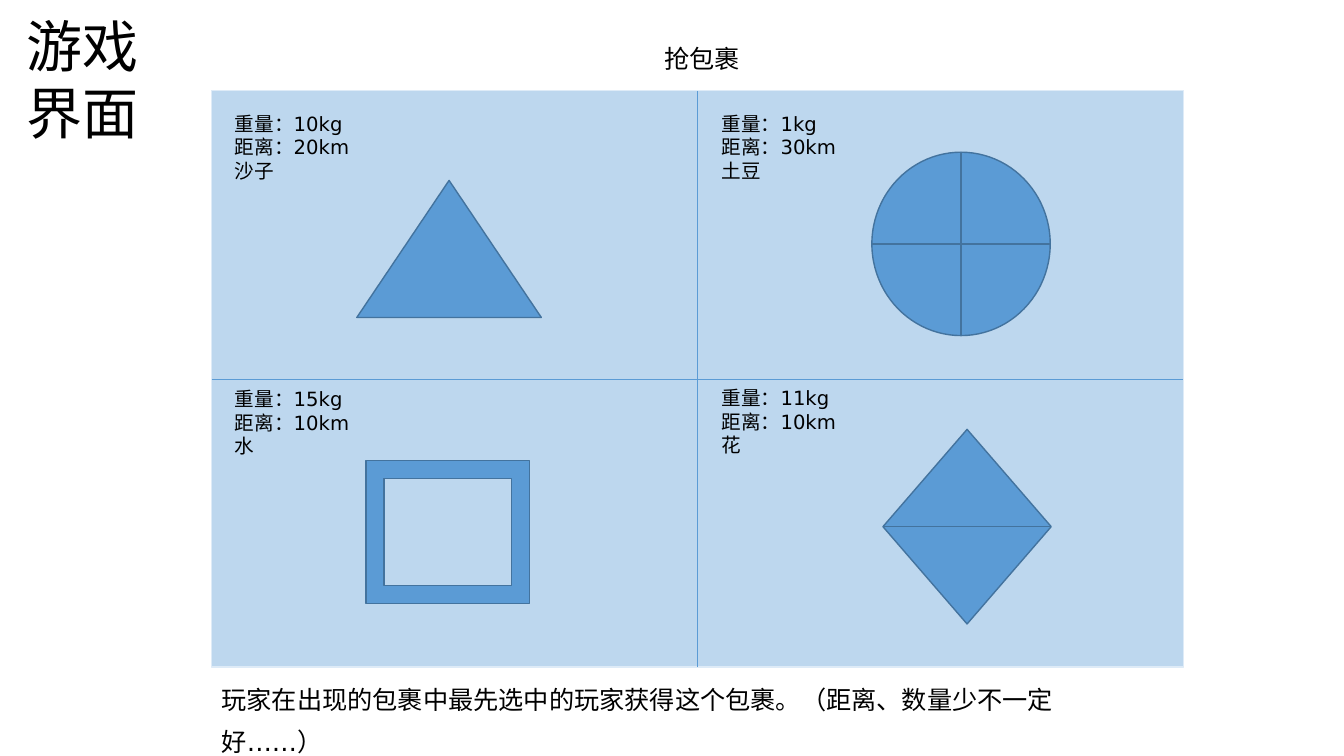
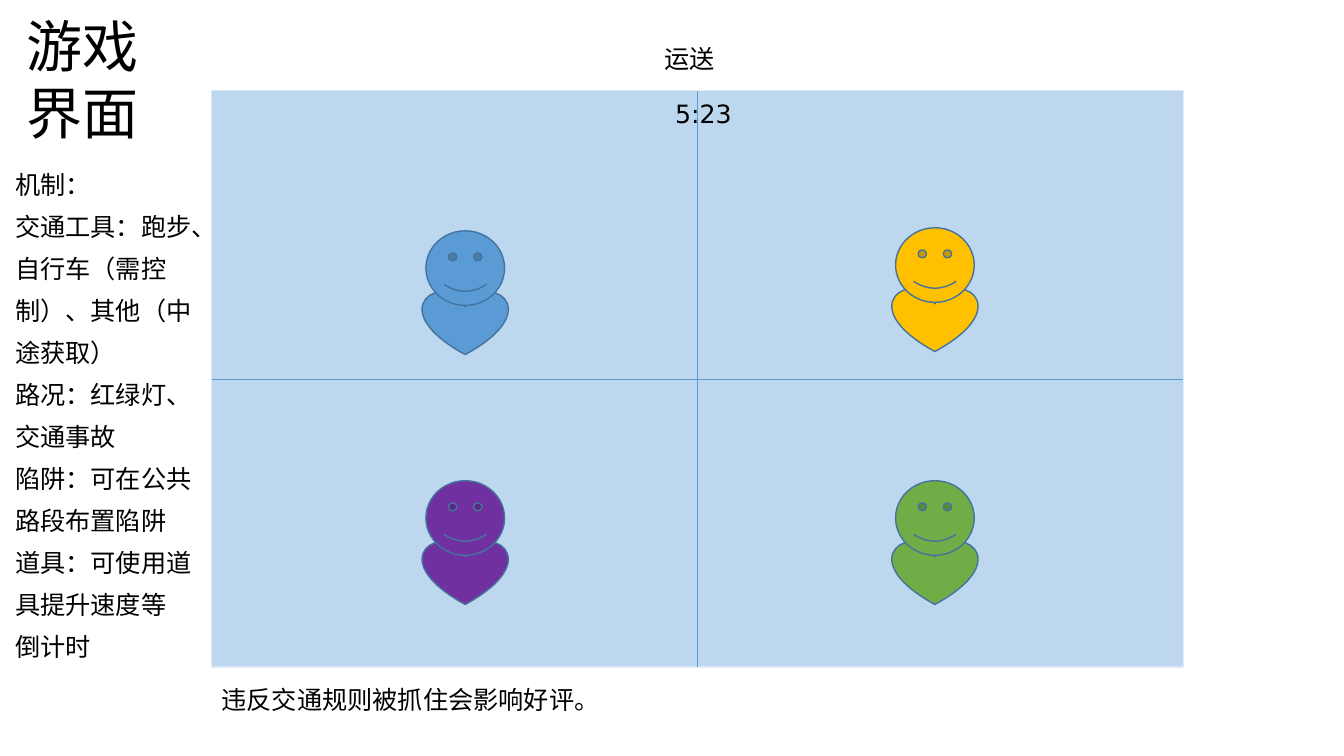
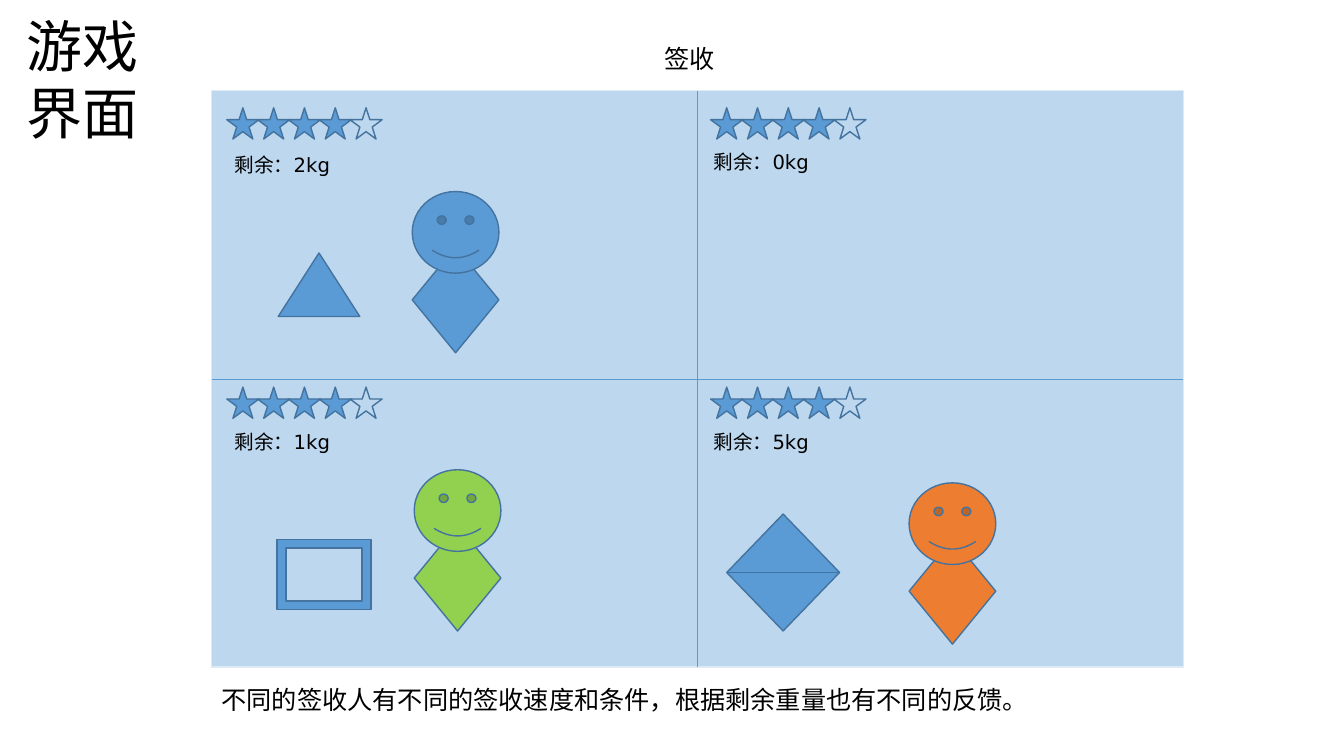
from lxml.etree import SubElement
from pptx import Presentation
from pptx.dml.color import RGBColor
from pptx.enum.shapes import MSO_CONNECTOR, MSO_SHAPE as Preset
from pptx.enum.text import MSO_ANCHOR, MSO_AUTO_SIZE, PP_ALIGN
from pptx.oxml.ns import qn
from pptx.util import Pt

COLORS = {
    "black": "000000", "board": "BDD7EE", "board_edge": "DEEBF7",
    "blue": "5B9BD5", "outline": "43739E", "purple": "7030A0",
    "green": "70AD47", "gold": "FFC000", "lime": "92D050", "orange": "ED7D31",
}
TITLE_ONLY, TITLE_AND_LIST = 5, 1
BODY_FONT, TITLE_FONT = "DejaVu Sans", "Noto Sans CJK JP"
BOARD = (151.2, 64.8, 694.1, 411.8)
LABEL_X = 160.6
STAR_COUNT, STAR_PITCH = 5, 22


def color(name):
    return RGBColor.from_string(COLORS[name])


class GameDeck:
    """Holds the shared style and the slide being built."""

    def __init__(self):
        self.deck = Presentation()
        self.deck.slide_width, self.deck.slide_height = Pt(960), Pt(540)
        self.page = None

    # Slide frame: title, heading, board and caption
    def start(self, heading, caption, layout=TITLE_ONLY):
        self.page = self.deck.slides.add_slide(self.deck.slide_layouts[layout])
        title = self.page.shapes.title
        self.place(title, 11.5, 4.3, 105.8, 104.4)
        self.set_text(title, "游戏界面", 40, font=TITLE_FONT)
        self.board()
        self.text(heading, 467.3, 18.7, 82.1, 34.6, 18, spacing=30)
        self.text(caption, 151.2, 476.6, 660.2, 34.6, 18, spacing=30)

    def board(self):
        panel = self.shape(Preset.RECTANGLE, *BOARD, fill="board", edge="board_edge")
        for first, last in ((2, 0), (1, 3)):
            line = self.page.shapes.add_connector(MSO_CONNECTOR.STRAIGHT, 0, 0, 0, 0)
            line.begin_connect(panel, first)
            line.end_connect(panel, last)
            line.line.color.rgb = color("blue")
            line.line.width = Pt(0.5)
            SubElement(line._element.spPr, qn("a:effectLst"))

    # Text
    def place(self, box, left, top, width, height):
        box.left, box.top, box.width, box.height = map(Pt, (left, top, width, height))

    def set_text(self, box, text, size, spacing=None, font=BODY_FONT):
        frame = box.text_frame
        frame.text = text
        frame.word_wrap = True
        frame.auto_size = MSO_AUTO_SIZE.SHAPE_TO_FIT_TEXT
        frame.vertical_anchor = MSO_ANCHOR.TOP
        for para in frame.paragraphs:
            para.alignment = PP_ALIGN.LEFT
            para.space_before = Pt(0)
            para.line_spacing = Pt(spacing) if spacing else 1.0
            for span in para.runs:
                span.font.size = Pt(size)
                span.font.color.rgb = color("black")
                span.font.name = font
                # East Asian text keeps the line height of the body font
                SubElement(span.font._element, qn("a:ea"), typeface=BODY_FONT)

    def text(self, text, left, top, width, height, size, spacing=None):
        box = self.page.shapes.add_textbox(*map(Pt, (left, top, width, height)))
        self.set_text(box, text, size, spacing)

    def plain_list(self, items, left, top, width, height):
        box = self.page.placeholders[1]
        self.place(box, left, top, width, height)
        self.set_text(box, "\n".join(items), 18, spacing=30)
        for para in box.text_frame.paragraphs:
            properties = para._p.get_or_add_pPr()
            properties.set("marL", "0")
            properties.set("indent", "0")
            SubElement(properties, qn("a:buNone"))

    # Shapes
    def shape(self, preset, left, top, width, height, fill="blue",
              edge="outline", group=None):
        shapes = (group or self.page).shapes
        shape = shapes.add_shape(preset, *map(Pt, (left, top, width, height)))
        shape.shadow.inherit = False
        if fill:
            shape.fill.solid()
            shape.fill.fore_color.rgb = color(fill)
        else:
            shape.fill.background()
        shape.line.color.rgb = color(edge)
        shape.line.width = Pt(1)
        return shape

    def person(self, left, top, fill, body, body_size, head_size, drop):
        """A smiling head centred over a body that starts drop below its top."""
        group = self.page.shapes.add_group_shape()
        inset = (body_size[0] - head_size[0]) / 2
        self.shape(body, left, top + drop, *body_size, fill=fill, group=group)
        self.shape(Preset.SMILEY_FACE, left + inset, top, *head_size,
                   fill=fill, group=group)

    def rating(self, left, top, score):
        group = self.page.shapes.add_group_shape()
        for index in range(STAR_COUNT):
            self.shape(Preset.STAR_5_POINT, left + index * STAR_PITCH, top, 23, 22.3,
                       fill="blue" if index < score else None, group=group)


def build_grab(game):
    game.start("抢包裹", "玩家在出现的包裹中最先选中的玩家获得这个包裹。（距离、数量少不一定好……）")
    parcels = (
        ("10kg", "20km", "沙子", LABEL_X, 76.3,
         Preset.ISOSCELES_TRIANGLE, (254.9, 128.9, 131.8, 97.9)),
        ("15kg", "10km", "水", LABEL_X, 272.9,
         Preset.FRAME, (261.4, 329, 116.6, 102.2)),
        ("1kg", "30km", "土豆", 508.3, 76.3,
         Preset.FLOWCHART_OR, (622.8, 108.7, 127.4, 131)),
        ("11kg", "10km", "花", 508.3, 272.2,
         Preset.FLOWCHART_SORT, (630.7, 306.7, 120.2, 139)),
    )
    for weight, distance, goods, left, top, preset, area in parcels:
        game.text(f"重量：{weight}\n距离：{distance}\n{goods}", left, top, 188.6, 58.3, 14)
        game.shape(preset, *area)


def build_delivery(game):
    game.start("运送", "违反交通规则被抓住会影响好评。", TITLE_AND_LIST)
    game.plain_list(
        ("机制：", "交通工具：跑步、自行车（需控制）、其他（中途获取）",
         "路况：红绿灯、交通事故", "陷阱：可在公共路段布置陷阱",
         "道具：可使用道具提升速度等", "倒计时"),
        3.6, 108.7, 145.4, 370.8)
    for left, top, fill in ((301.7, 164.9, "blue"), (301.7, 343.4, "purple"),
                            (637.2, 343.4, "green"), (637.2, 162.7, "gold")):
        game.person(left, top, fill, Preset.HEART, (61.2, 45.4), (56.2, 53.3), 43)
    game.text("5:23", 475.2, 67, 65.5, 28.8, 18)


def build_receipt(game):
    game.start("签收", "不同的签收人有不同的签收速度和条件，根据剩余重量也有不同的反馈。")
    # Rating and remaining weight in each quarter
    for star_left, star_top, left, top, weight in (
            (162, 77, LABEL_X, 105.8, "2kg"), (162, 276.5, LABEL_X, 303.8, "1kg"),
            (507.6, 276.5, 502.6, 303.8, "5kg"), (507.6, 77, 502.6, 103.7, "0kg")):
        game.rating(star_left, star_top, 4)
        game.text(f"剩余：{weight}", left, top, 113, 24.5, 14)
    # Receivers
    for left, top, fill in ((294.5, 136.8, "blue"), (295.9, 335.5, "lime"),
                            (649.4, 344.9, "orange")):
        game.person(left, top, fill, Preset.DIAMOND, (61.9, 75.6), (61.9, 58.3), 39.6)
    # Parcels
    game.shape(Preset.ISOSCELES_TRIANGLE, 198.7, 180.7, 58.3, 45.4)
    game.shape(Preset.FRAME, 198, 385.2, 67, 50.4)
    game.shape(Preset.FLOWCHART_SORT, 519.1, 367.2, 80.6, 83.5)


def main():
    game = GameDeck()
    for build in (build_grab, build_delivery, build_receipt):
        build(game)
    game.deck.save("out.pptx")


if __name__ == "__main__":
    main()
